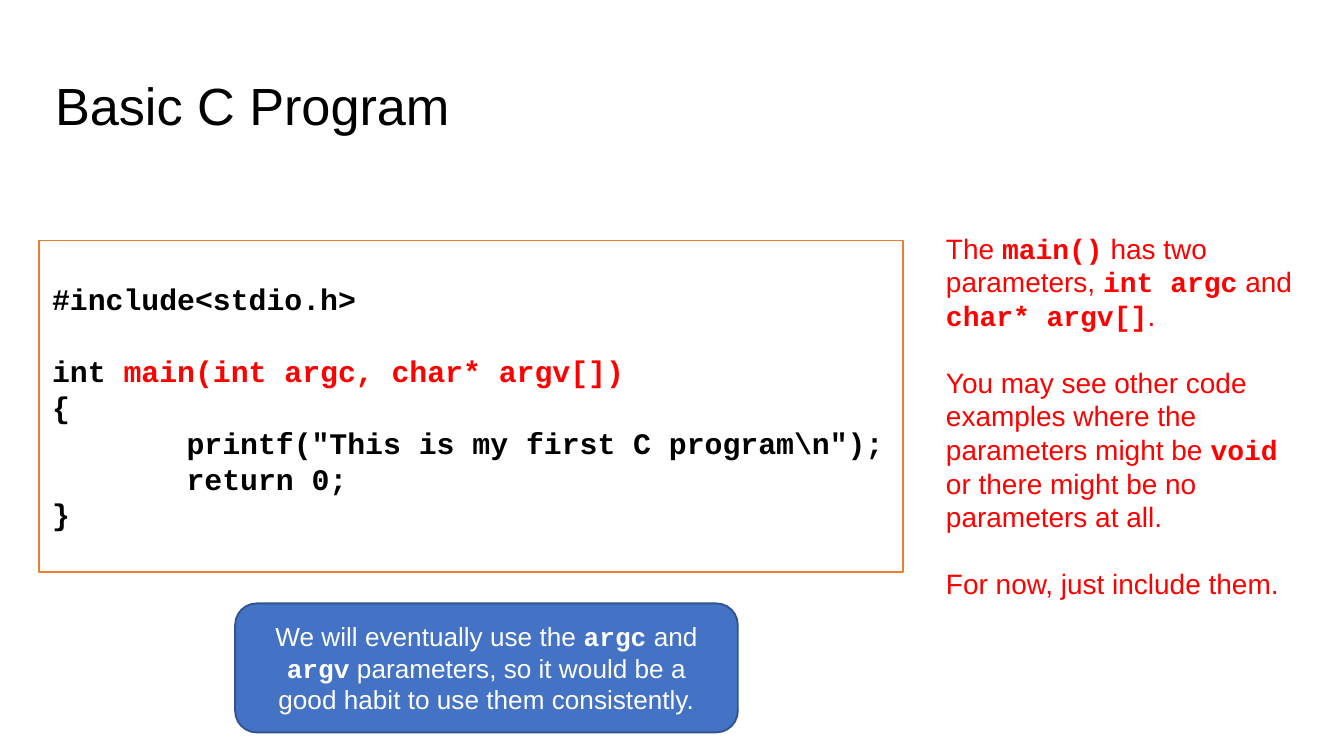
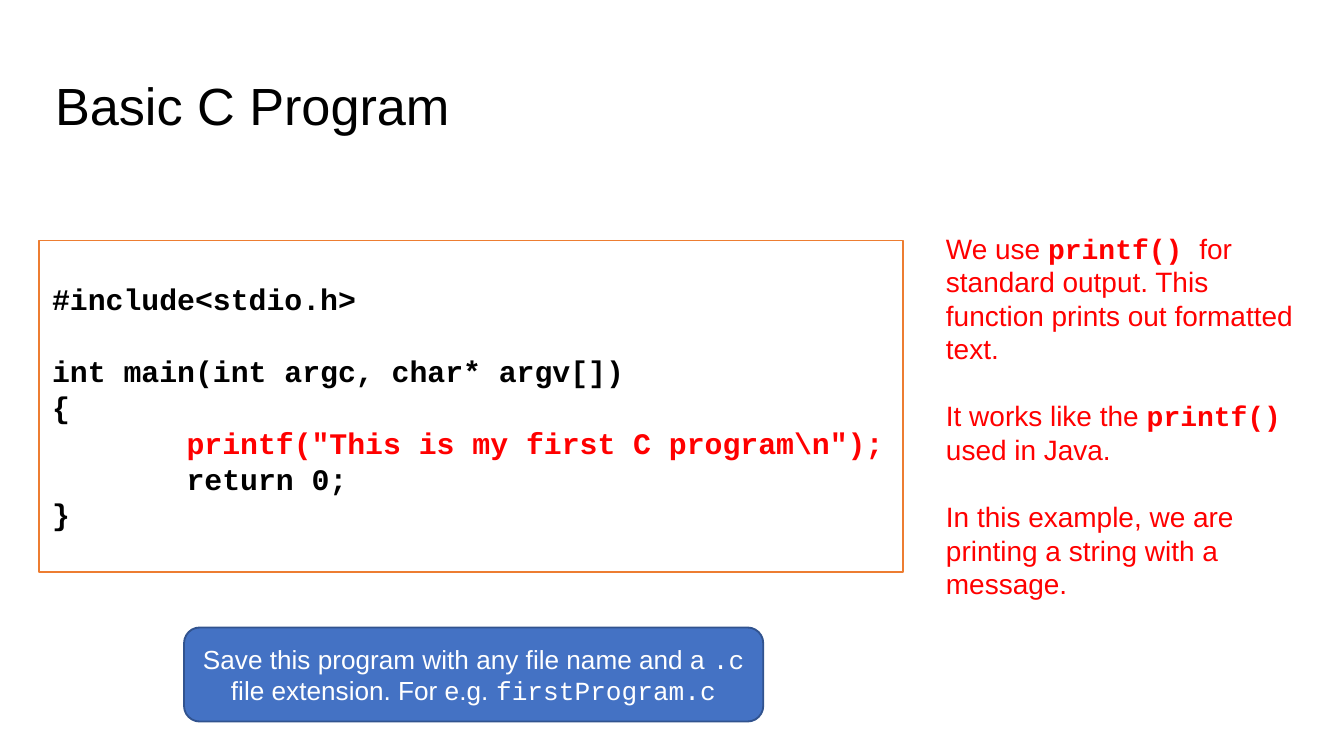
from lxml import etree
from pptx import Presentation
from pptx.dml.color import RGBColor
from pptx.enum import shapes, text
from pptx.oxml.ns import qn
from pptx.util import Pt

TITLE = "Basic C Program"
SANS, MONO = "Arial", "Courier New"
BLACK, RED, WHITE = "000000", "FF0000", "FFFFFF"
ORANGE, BLUE, NAVY = "ED7D31", "4472C4", "31538F"

CODE = [
    ["#include<stdio.h>"],
    [
        "int main(int argc, char* argv[])",
        "{",
        '\tprintf("This is my first C program\\n");',
        "\treturn 0;",
        "}",
    ],
]

PAGES = [
    {
        "focus": "main(int argc, char* argv[])",
        "notes": [
            ["The `main()` has two parameters, `int argc` and `char* argv[]`."],
            ["You may see other code examples where the parameters might be "
             "`void` or there might be no parameters at all."],
            ["For now, just include them."],
        ],
        "tip": "We will eventually use the `argc` and `argv` parameters, "
               "so it would be a good habit to use them consistently.",
        "box": (126, 323.3, 269.3, 69.1),
        "bold": True,
    },
    {
        "focus": 'printf("This is my first C program\\n");',
        "notes": [
            ["We use `printf() `for standard output. "
             "This function prints out formatted text."],
            ["It works like the `printf()` used in Java."],
            ["In this example, we are printing a string with a message."],
        ],
        "tip": "Save this program with any file name and a `.c` "
               "file extension. For e.g. `firstProgram.c`",
        "box": (98.6, 336.2, 310.3, 50.4),
        "bold": False,
    },
]

HEAD = (24.5, 35.3, 671, 45.4)
PANEL = (20.9, 128.9, 463, 177.8)
SIDE = (499.7, 116.6, 202.3, 237.6)
LEAD = 1.2
TAB = 72


def tint(code):
    return RGBColor.from_string(code)


def style(font, face=None, size=None, ink=None, bold=None):
    if face:
        font.name = face
    if size:
        font.size = Pt(size)
    if ink:
        font.color.rgb = tint(ink)
    if bold is not None:
        font.bold = bold


def pad(frame, wide, high):
    frame.word_wrap = True
    frame.auto_size = text.MSO_AUTO_SIZE.NONE
    frame.margin_left = frame.margin_right = Pt(wide)
    frame.margin_top = frame.margin_bottom = Pt(high)


def write(frame, blocks, base, mark, align=text.PP_ALIGN.LEFT):
    pitch = Pt(base["size"] * LEAD)
    para = None
    for num, block in enumerate(blocks):
        for row, line in enumerate(block):
            para = frame.add_paragraph() if para else frame.paragraphs[0]
            if line.startswith("\t"):
                tabs = etree.SubElement(para._p.get_or_add_pPr(), qn("a:tabLst"))
                etree.SubElement(tabs, qn("a:tab"), pos=str(int(Pt(TAB))), algn="l")
            para.alignment = align
            para.line_spacing = pitch
            para.space_before = pitch if num and not row else Pt(0)
            style(para.font, **base)
            for spot, part in enumerate(line.split("`")):
                if part:
                    run = para.add_run()
                    run.text = part
                    style(run.font, ink=base["ink"])
                    if spot % 2:
                        style(run.font, **mark)


def panel(slide, kind, box, fill, edge):
    shape = slide.shapes.add_shape(kind, *map(Pt, box))
    shape.shadow.inherit = False
    if fill:
        shape.fill.solid()
        shape.fill.fore_color.rgb = tint(fill)
    else:
        shape.fill.background()
    shape.line.color.rgb = tint(edge)
    shape.line.width = Pt(1)
    frame = shape.text_frame
    pad(frame, 7.2, 3.6)
    frame.vertical_anchor = text.MSO_ANCHOR.MIDDLE
    return frame


def head(slide):
    shape = slide.shapes.title
    shape.left, shape.top, shape.width, shape.height = map(Pt, HEAD)
    frame = shape.text_frame
    pad(frame, 5, 2.9)
    frame.vertical_anchor = text.MSO_ANCHOR.MIDDLE
    frame.text = TITLE
    para = frame.paragraphs[0]
    para.alignment = text.PP_ALIGN.LEFT
    para.line_spacing = 0.9
    style(para.font, SANS, 28, BLACK)


def build(deck, page):
    slide = deck.slides.add_slide(deck.slide_layouts[5])
    head(slide)

    focus = page["focus"]
    code = [[line.replace(focus, f"`{focus}`") for line in block] for block in CODE]
    frame = panel(slide, shapes.MSO_SHAPE.RECTANGLE, PANEL, None, ORANGE)
    write(frame, code, dict(face=MONO, size=16, ink=BLACK, bold=True), dict(ink=RED))

    frame = slide.shapes.add_textbox(*map(Pt, SIDE)).text_frame
    pad(frame, 7.2, 7.2)
    write(frame, page["notes"], dict(face=SANS, size=15, ink=RED),
          dict(face=MONO, bold=True))

    frame = panel(slide, shapes.MSO_SHAPE.ROUNDED_RECTANGLE, page["box"], BLUE, NAVY)
    write(frame, [[page["tip"]]], dict(face=SANS, size=14, ink=WHITE),
          dict(face=MONO, bold=page["bold"]), text.PP_ALIGN.CENTER)


def main():
    deck = Presentation()
    deck.slide_width, deck.slide_height = Pt(720), Pt(405)
    for page in PAGES:
        build(deck, page)
    deck.save("out.pptx")


if __name__ == "__main__":
    main()
